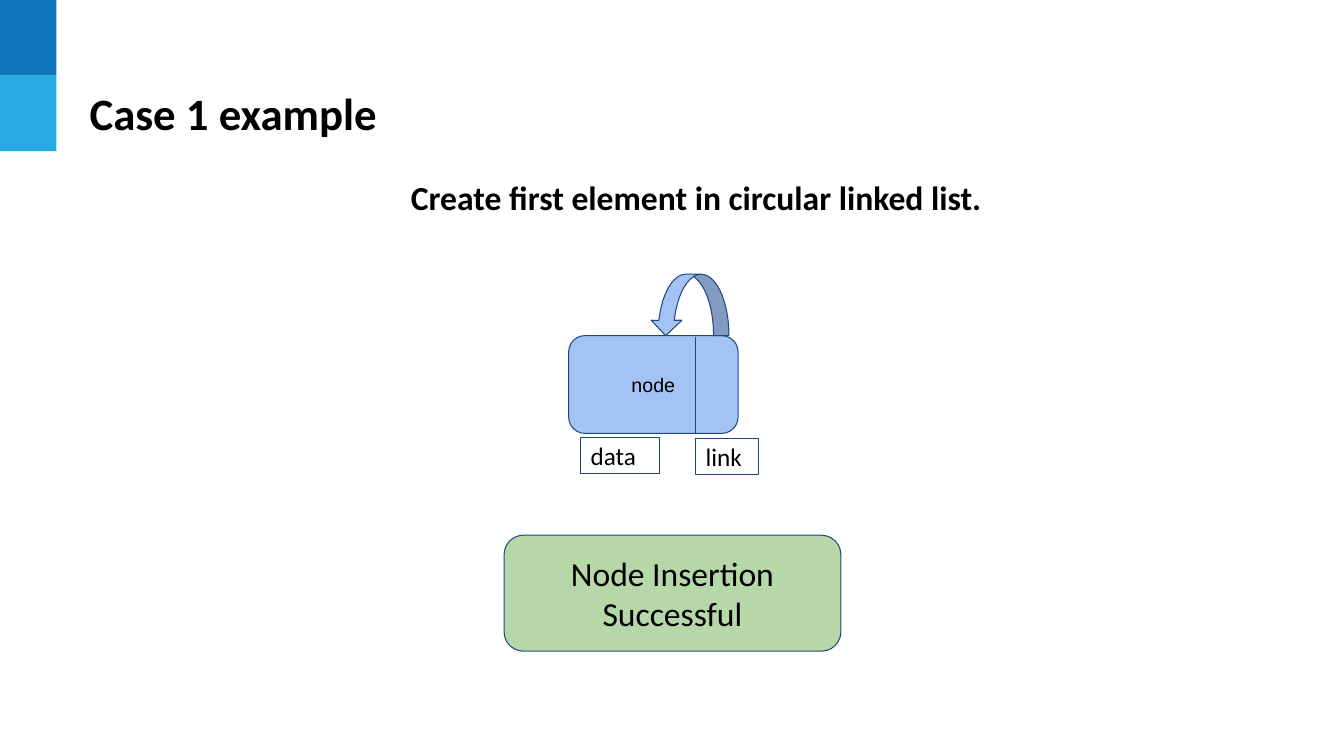
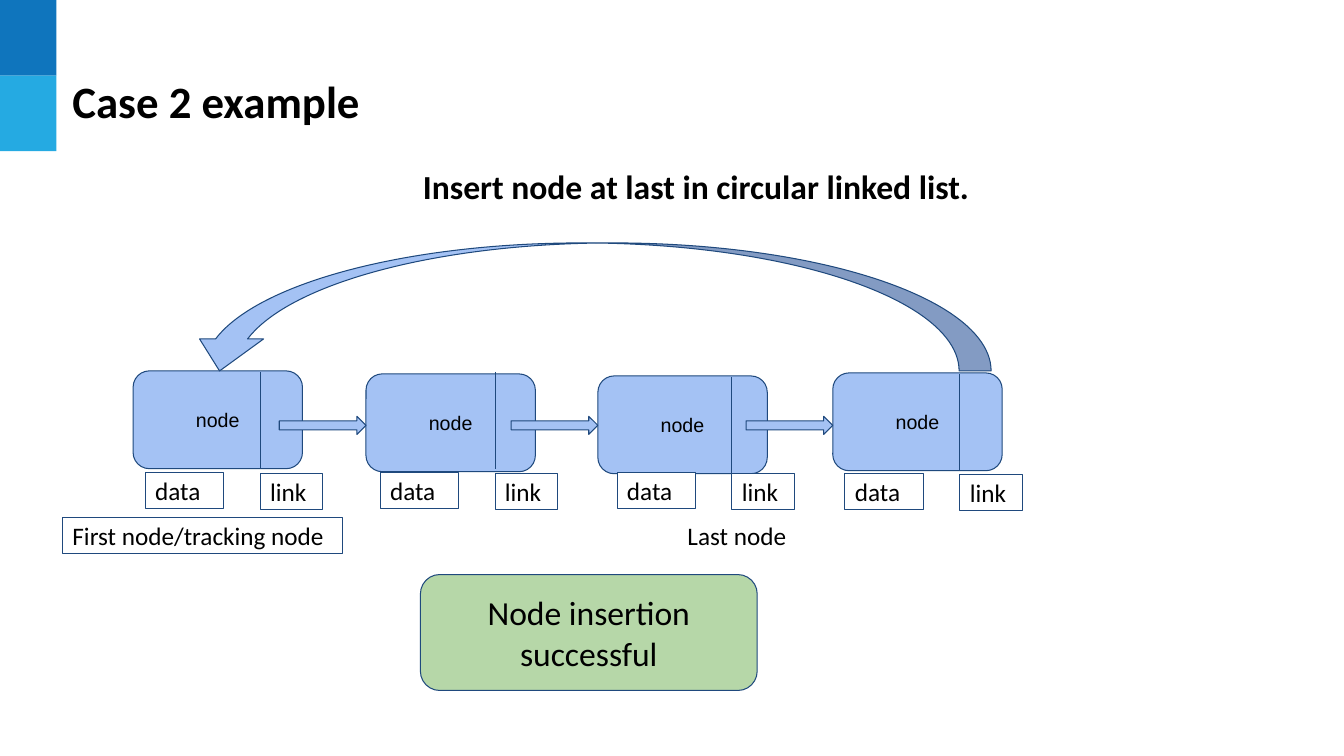
from pptx import Presentation
from pptx.dml.color import RGBColor
from pptx.enum import shapes, text
from pptx.util import Inches, Pt
from lxml import etree

COLORS = {"band_dark": "0F75BD", "band_light": "25AAE2", "node": "A4C2F4",
          "result": "B6D7A8", "outline": "1F497D", "white": "FFFFFF", "text": "000000"}
SHAPE = shapes.MSO_SHAPE
ALIGN = text.PP_ALIGN
NODE_W, NODE_H = 1.68, 0.97
ARROW_W, ARROW_H = 0.86, 0.18


def rgb(name):
    return RGBColor.from_string(COLORS[name])


def write(sp, words, size, font="Calibri", bold=False, align=ALIGN.LEFT,
          anchor=text.MSO_ANCHOR.MIDDLE, inset=0.1):
    tf = sp.text_frame
    tf.word_wrap = True
    tf.vertical_anchor = anchor
    tf.margin_left = tf.margin_right = Inches(0.1)
    tf.margin_top = tf.margin_bottom = Inches(inset)
    tf.text = words
    p = tf.paragraphs[0]
    p.alignment = align
    f = p.runs[0].font
    f.name, f.size, f.bold = font, Pt(size), bold
    f.color.rgb = rgb("text")
    return tf


def add_box(s, kind, x, y, w, h, fill, line="outline"):
    sp = s.shapes.add_shape(kind, Inches(x), Inches(y), Inches(w), Inches(h))
    sp.shadow.inherit = False
    sp.fill.solid()
    sp.fill.fore_color.rgb = rgb(fill)
    if line:
        sp.line.color.rgb = rgb(line)
        sp.line.width = Pt(0.75)
    else:
        sp.line.fill.background()
    return sp


def add_label(s, words, x, y, w, line="outline"):
    write(add_box(s, SHAPE.RECTANGLE, x, y, w, 0.36, "white", line), words, 18)


def add_divider(s, x, y):
    line = s.shapes.add_connector(shapes.MSO_CONNECTOR.STRAIGHT, Inches(x), Inches(y),
                                  Inches(x), Inches(y + 0.96))
    line.line.color.rgb = rgb("outline")
    line.line.width = Pt(0.75)
    etree.SubElement(line.element.spPr,
                     "{http://schemas.openxmlformats.org/drawingml/2006/main}effectLst")


def add_node(s, x, y, split_x, split_y, label_y):
    """Node box divided at split_x, with its data and link labels below."""
    sp = add_box(s, SHAPE.ROUNDED_RECTANGLE, x, y, NODE_W, NODE_H, "node")
    write(sp, "node", 14, font="Arial", align=ALIGN.CENTER)
    add_divider(s, split_x, split_y)
    add_label(s, "link", split_x, label_y + 0.01, 0.62)
    add_label(s, "data", split_x - 1.14, label_y, 0.78)


def add_result(s, words, x, y):
    sp = add_box(s, SHAPE.ROUNDED_RECTANGLE, x, y, 3.34, 1.15, "result")
    write(sp, words, 24, align=ALIGN.CENTER)


def add_base(prs, title, title_box, subtitle, subtitle_y):
    """New slide with the side bands, title and subtitle."""
    s = prs.slides.add_slide(prs.slide_layouts[6])
    for i, color in enumerate(("band_dark", "band_light")):
        add_box(s, SHAPE.RECTANGLE, 0, i * 0.75, 0.56, 0.75, color, None)
    write(s.shapes.add_textbox(*map(Inches, title_box)), title, 32, bold=True, inset=0.05)
    sp = s.shapes.add_textbox(Inches(1.58), Inches(subtitle_y), Inches(10.15), Inches(0.61))
    tf = write(sp, subtitle, 24, bold=True, align=ALIGN.CENTER, anchor=text.MSO_ANCHOR.TOP)
    tf.auto_size = text.MSO_AUTO_SIZE.SHAPE_TO_FIT_TEXT
    pPr = tf.paragraphs[0]._p.get_or_add_pPr()
    pPr.set("marL", str(Inches(0.5)))
    pPr.set("indent", "0")
    return s


def first_element_slide(prs):
    s = add_base(prs, "Case 1 example", (0.79, 0.67, 9.34, 0.9),
                 "Create first element in circular linked list.", 1.65)
    add_node(s, 5.64, 3.33, 6.9, 3.34, 4.34)
    # Link from the node back to itself
    loop = add_box(s, SHAPE.CURVED_DOWN_ARROW, 6.45, 2.72, 0.78, 0.61, "node")
    loop.element.spPr.xfrm.set("flipH", "1")
    add_result(s, "Node Insertion Successful", 5, 5.31)


def insert_last_slide(prs):
    s = add_base(prs, "Case 2 example", (0.62, 0.55, 12.1, 0.9),
                 "Insert node at last in circular linked list.", 1.55)
    # Nodes: left, top, divider left, divider top, label top
    nodes = [(1.32, 3.68, 2.58, 3.69, 4.69),
             (3.63, 3.71, 4.91, 3.69, 4.69),
             (5.93, 3.73, 7.26, 3.74, 4.69),
             (8.26, 3.7, 9.52, 3.71, 4.7)]
    for node in nodes:
        add_node(s, *node)
    # Links to the next node
    for x, *_ in nodes[1:]:
        add_box(s, SHAPE.RIGHT_ARROW, x - ARROW_W, 4.13, ARROW_W, ARROW_H, "node")
    # Link from the last node back to the first
    loop = add_box(s, SHAPE.CURVED_UP_ARROW, 1.86, 2.41, 7.97, 1.27, "node")
    loop.rotation = 180
    # Captions and result
    add_label(s, "First node/tracking node", 0.62, 5.13, 2.78)
    add_label(s, "Last node", 6.72, 5.13, 1.35, "white")
    add_result(s, "Node insertion successful", 4.17, 5.7)


def main():
    prs = Presentation()
    prs.slide_width, prs.slide_height = Inches(13.33), Inches(7.5)
    first_element_slide(prs)
    insert_last_slide(prs)
    prs.save("out.pptx")


if __name__ == "__main__":
    main()
